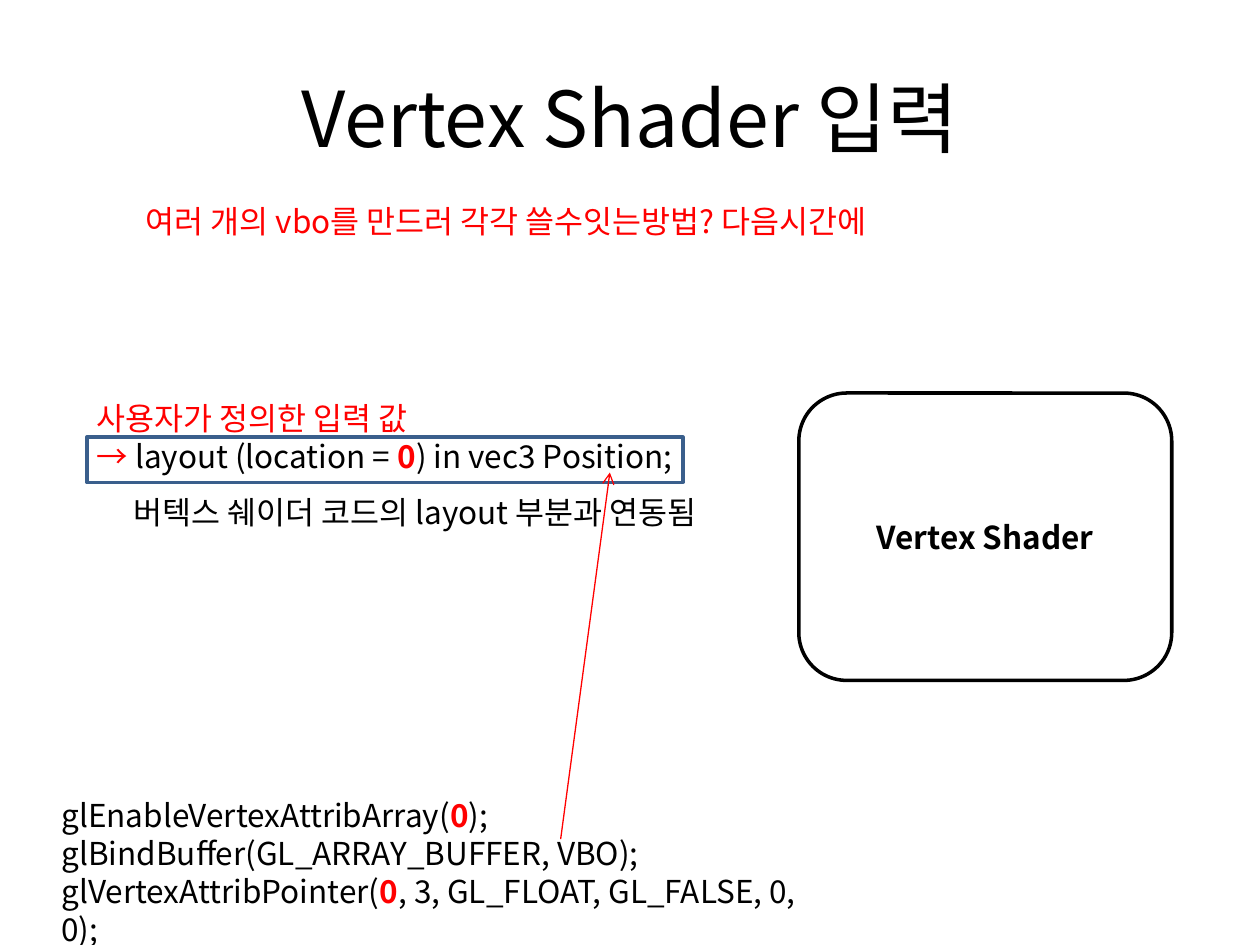
from dataclasses import dataclass
from pptx import Presentation
from pptx.dml.color import RGBColor
from pptx.enum.shapes import MSO_CONNECTOR, MSO_SHAPE
from pptx.enum.text import MSO_ANCHOR, PP_ALIGN
from pptx.oxml.ns import qn
from pptx.util import Pt
from lxml.etree import SubElement


@dataclass(frozen=True)
class Theme:
    font: str = "Noto Sans CJK KR"
    ink: RGBColor = RGBColor(0, 0, 0)
    accent: RGBColor = RGBColor(255, 0, 0)
    paper: RGBColor = RGBColor(255, 255, 255)
    frame: RGBColor = RGBColor(0x3A, 0x5F, 0x8C)
    title: int = 44
    body: int = 18
    leading: float = 21.7


theme = Theme()
ZERO = ("0", theme.accent, True)


def write_text(frame, lines, size=theme.body, color=theme.ink, bold=False,
               align=PP_ALIGN.LEFT, anchor=MSO_ANCHOR.TOP, leading=None):
    frame.word_wrap = True
    frame.vertical_anchor = anchor
    for index, line in enumerate(lines):
        para = frame.paragraphs[0] if index == 0 else frame.add_paragraph()
        para.alignment = align
        if leading:
            para.line_spacing = Pt(leading)
        for part in [line] if isinstance(line, str) else line:
            text, part_color, part_bold = (part, color, bold) if isinstance(part, str) else part
            span = para.add_run()
            span.text = text
            span.font.name = theme.font
            span.font.size = Pt(size)
            span.font.bold = part_bold
            span.font.color.rgb = part_color
            SubElement(span.font._element, qn("a:ea")).set("typeface", theme.font)


def add_text(page, left, top, width, height, lines, **style):
    box = page.shapes.add_textbox(Pt(left), Pt(top), Pt(width), Pt(height))
    write_text(box.text_frame, lines, leading=theme.leading, **style)


def add_box(page, kind, left, top, width, height, line, fill=None):
    box = page.shapes.add_shape(kind, Pt(left), Pt(top), Pt(width), Pt(height))
    box.shadow.inherit = False
    if fill is None:
        box.fill.background()
    else:
        box.fill.solid()
        box.fill.fore_color.rgb = fill
    box.line.color.rgb = line
    box.line.width = Pt(2)
    return box


def add_arrow(page, start, end):
    arrow = page.shapes.add_connector(MSO_CONNECTOR.STRAIGHT, *map(Pt, start + end))
    arrow.line.color.rgb = theme.accent
    arrow.line.width = Pt(0.75)
    SubElement(arrow.line._get_or_add_ln(), qn("a:tailEnd")).set("type", "arrow")
    SubElement(arrow._element.spPr, qn("a:effectLst"))


def add_heading(page, left, top, width, height):
    title = page.shapes.title
    title.left, title.top, title.width, title.height = map(Pt, (left, top, width, height))
    write_text(title.text_frame, ["Vertex Shader 입력"], size=theme.title,
               align=PP_ALIGN.CENTER, anchor=MSO_ANCHOR.MIDDLE)
    add_text(page, left + 40.3, top + height, 550, 29,
             ["여러 개의 vbo를 만드러 각각 쓸수잇는방법? 다음시간에"], color=theme.accent)


def add_shader(page, left, top, width, height):
    shader = add_box(page, MSO_SHAPE.ROUNDED_RECTANGLE, left, top, width, height,
                     theme.ink, theme.paper)
    write_text(shader.text_frame, ["Vertex Shader"], bold=True,
               align=PP_ALIGN.CENTER, anchor=MSO_ANCHOR.MIDDLE)


def add_input(page, left, top, width, height):
    add_box(page, MSO_SHAPE.RECTANGLE, left + 1.4, top + 25.2, 340.6, 25.9, theme.frame)
    add_text(page, left, top, width, height, [
        "사용자가 정의한 입력 값",
        ["→ ", ("layout (location = ", theme.ink, False), ZERO,
         (") in vec3 Position;", theme.ink, False)],
    ], color=theme.accent)
    add_text(page, left - 20.9, top + 53.3, 419.8, 29,
             ["버텍스 쉐이더 코드의 layout 부분과 연동됨"], align=PP_ALIGN.CENTER)


def add_calls(page, left, top, width, height):
    add_text(page, left, top, width, height, [
        ["glEnableVertexAttribArray(", ZERO, ");"],
        "glBindBuffer(GL_ARRAY_BUFFER, VBO);",
        ["glVertexAttribPointer(", ZERO, ", 3, GL_FLOAT, GL_FALSE, 0, 0);"],
    ])


def build_slide(deck):
    page = deck.slides.add_slide(deck.slide_layouts[5])
    add_heading(page, 36, 21.6, 648, 90)
    add_shader(page, 456.5, 224.6, 213.1, 164.2)
    add_input(page, 48.2, 224.6, 408.2, 51)
    add_calls(page, 28.1, 451.4, 448.6, 72.7)
    add_arrow(page, (320.4, 479.5), (348.5, 270))


deck = Presentation()
deck.slide_width, deck.slide_height = Pt(720), Pt(540)
build_slide(deck)
deck.save("out.pptx")
